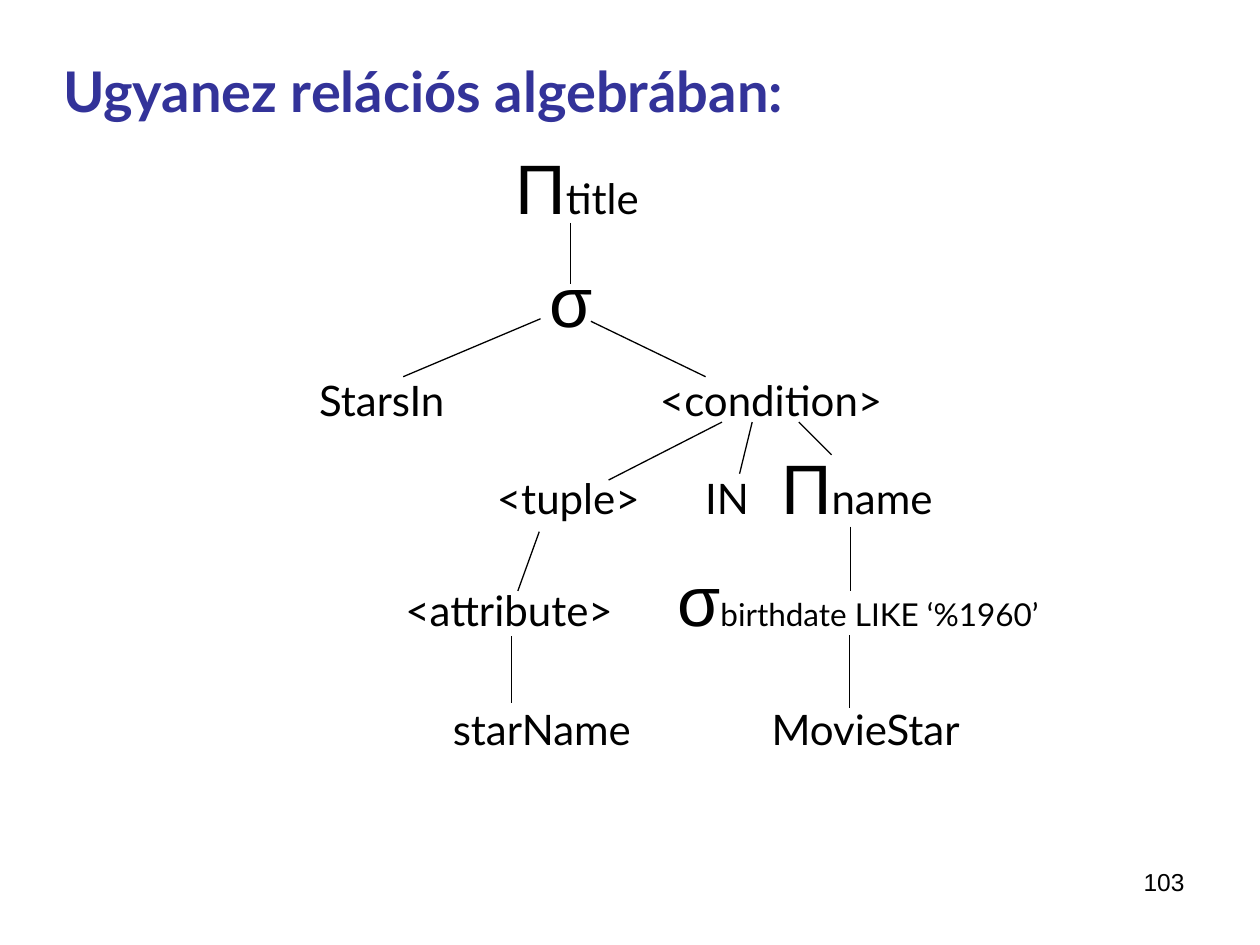
import pptx
import pptx.util
import pptx.dml.color
import pptx.enum.shapes
import pptx.enum.text
import pptx.oxml.ns
from lxml import etree

Inches = pptx.util.Inches
Pt = pptx.util.Pt
RGBColor = pptx.dml.color.RGBColor
PP_ALIGN = pptx.enum.text.PP_ALIGN
MSO_ANCHOR = pptx.enum.text.MSO_ANCHOR

BLACK = RGBColor(0x00, 0x00, 0x00)
INDIGO = RGBColor(0x33, 0x33, 0x99)
TEXT_FONT = "Lato"
SYMBOL_FONT = "Arial"
SYMBOL_SIZE = 40
LABEL_SIZE = 24


class TreeSlide:
    def __init__(self, prs):
        self.s = prs.slides.add_slide(prs.slide_layouts[5])

    def run(self, p, text, size, font=TEXT_FONT, color=BLACK, bold=False):
        r = p.add_run()
        r.text = text
        r.font.size = Pt(size)
        r.font.name = font
        r.font.color.rgb = color
        r.font.bold = bold

    def title(self, text, left, top, width, height):
        sp = self.s.shapes.title
        sp.left, sp.top = Inches(left), Inches(top)
        sp.width, sp.height = Inches(width), Inches(height)
        tf = sp.text_frame
        tf.word_wrap = True
        tf.vertical_anchor = MSO_ANCHOR.MIDDLE
        p = tf.paragraphs[0]
        p.alignment = PP_ALIGN.LEFT
        self.run(p, text, 32, color=INDIGO, bold=True)

    def box(self, left, top, width, height, align):
        sp = self.s.shapes.add_textbox(
            Inches(left), Inches(top), Inches(width), Inches(height))
        p = sp.text_frame.paragraphs[0]
        p.alignment = align
        return sp.text_frame, p

    def node(self, center, middle, width, symbol="", label="", size=LABEL_SIZE):
        height = 0.77 if symbol else 0.5
        tf, p = self.box(center - width / 2, middle - height / 2,
                         width, height, PP_ALIGN.CENTER)
        tf.word_wrap = False
        tf.auto_size = pptx.enum.text.MSO_AUTO_SIZE.SHAPE_TO_FIT_TEXT
        tf.vertical_anchor = MSO_ANCHOR.MIDDLE
        if symbol:
            self.run(p, symbol, SYMBOL_SIZE, font=SYMBOL_FONT)
        if label:
            self.run(p, label, size)

    def branch(self, x1, y1, x2, y2):
        line = self.s.shapes.add_connector(
            pptx.enum.shapes.MSO_CONNECTOR.STRAIGHT,
            Inches(x1), Inches(y1), Inches(x2), Inches(y2))
        line.line.color.rgb = BLACK
        line.line.width = Pt(0.75)
        etree.SubElement(line._element.spPr, pptx.oxml.ns.qn("a:effectLst"))

    def page_number(self, text, left, top, width, height):
        tf, p = self.box(left, top, width, height, PP_ALIGN.RIGHT)
        tf.word_wrap = True
        self.run(p, text, 14, font=SYMBOL_FONT)


NODES = [
    (4.58, 1.48, 1.23, "Π", "title"),
    (4.53, 2.38, 0.6, "σ"),
    (3.03, 3.17, 1.3, "", "StarsIn"),
    (6.12, 3.17, 2.05, "", "<condition>"),
    (4.51, 3.95, 1.45, "", "<tuple>"),
    (5.77, 3.95, 0.65, "", "IN"),
    (6.8, 3.86, 1.5, "Π", "name"),
    (4.04, 4.84, 1.95, "", "<attribute>"),
    (6.81, 4.75, 3.25, "σ", "birthdate LIKE ‘%1960’", 18),
    (4.3, 5.78, 1.75, "", "starName"),
    (6.87, 5.78, 1.85, "", "MovieStar"),
]

BRANCHES = [
    (4.53, 1.77, 4.53, 2.25),
    (4.29, 2.53, 3.2, 2.99),
    (4.69, 2.55, 5.6, 2.99),
    (5.73, 3.35, 4.83, 3.81),
    (5.97, 3.35, 5.87, 3.76),
    (6.34, 3.35, 6.6, 3.61),
    (4.28, 4.22, 4.11, 4.69),
    (4.06, 5.05, 4.06, 5.58),
    (6.75, 4.18, 6.75, 4.69),
    (6.74, 5.04, 6.74, 5.62),
]


def main():
    prs = pptx.Presentation()
    prs.slide_width = Inches(10)
    prs.slide_height = Inches(7.5)
    tree = TreeSlide(prs)
    tree.page_number("103", 7.17, 6.83, 2.33, 0.52)
    tree.title("Ugyanez relációs algebrában:", 0.4, 0.23, 9.16, 0.97)
    for node in NODES:
        tree.node(*node)
    for branch in BRANCHES:
        tree.branch(*branch)
    prs.save("out.pptx")


if __name__ == "__main__":
    main()
